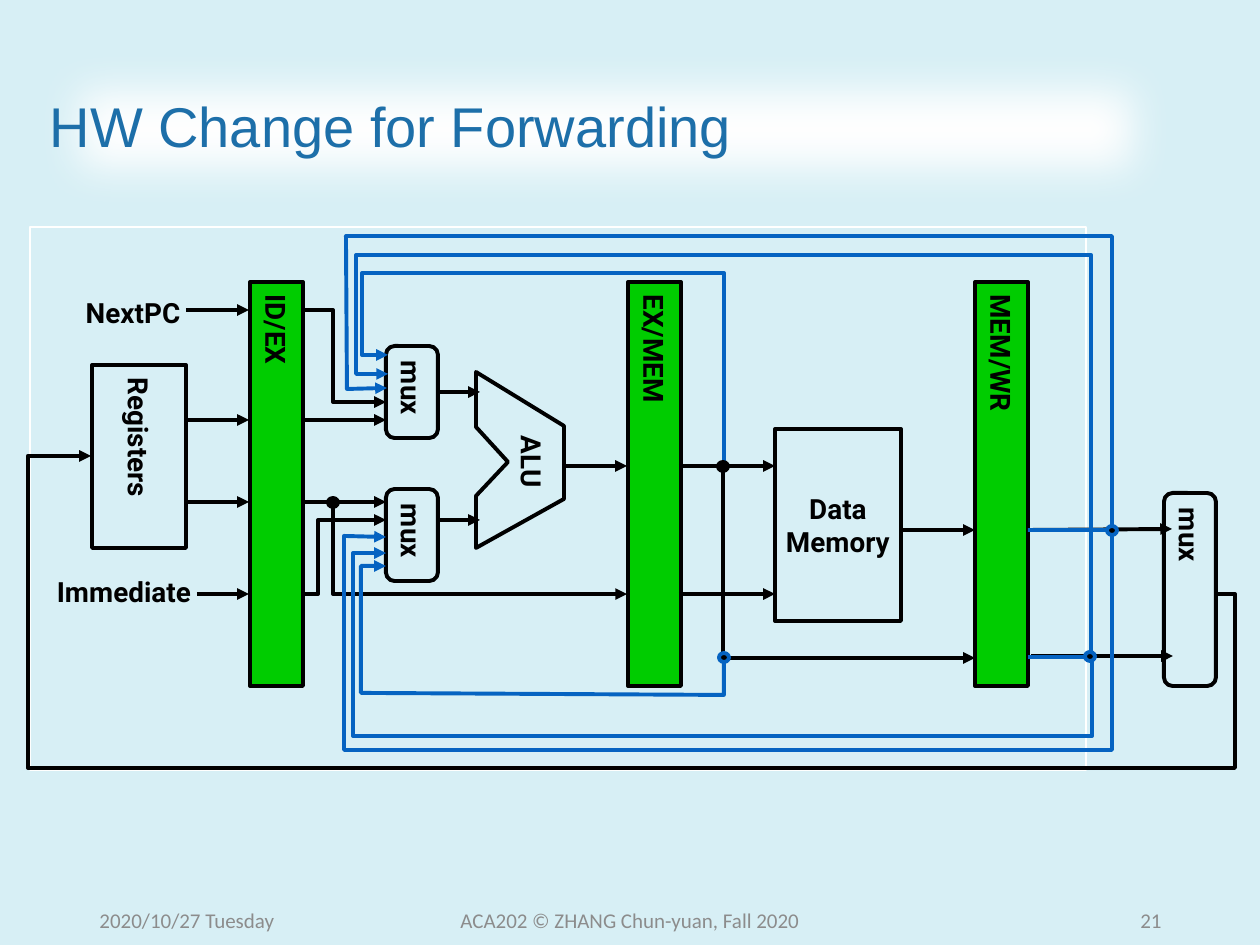
from lxml import etree
from pptx import Presentation
from pptx import util as u
from pptx.dml.color import RGBColor
from pptx.enum import shapes, text
from pptx.oxml.ns import qn

PX = u.Inches(1) / 126
COLOR = {
    "background": "D7EFF5", "title": "1D6FA9", "panel": "FFFFFF", "frame": "FFFFFE",
    "wire": "000000", "forward": "0563C1", "latch": "00CC00", "footer": "8C8C8C",
}
RECT = shapes.MSO_SHAPE.RECTANGLE
ROUND = shapes.MSO_SHAPE.ROUNDED_RECTANGLE
OVAL = shapes.MSO_SHAPE.OVAL
CENTER = text.PP_ALIGN.CENTER

deck = Presentation()
deck.slide_width, deck.slide_height = u.Inches(10), u.Inches(7.5)
slide = deck.slides.add_slide(deck.slide_layouts[5])
slide.background.fill.solid()
slide.background.fill.fore_color.rgb = RGBColor.from_string(COLOR["background"])
draw = slide.shapes


def write(shape, words, font="Roboto", size=15.9, color="wire", bold=True,
          align=CENTER, wrap=False, vertical=False):
    frame = shape.text_frame
    frame.text = words
    frame.word_wrap = wrap
    frame.vertical_anchor = text.MSO_ANCHOR.MIDDLE
    if vertical:
        frame._txBody.bodyPr.set("vert", "eaVert")
    for line in frame.paragraphs:
        line.alignment = align
        for run in line.runs:
            run.font.name, run.font.size, run.font.bold = font, u.Pt(size), bold
            run.font.color.rgb = RGBColor.from_string(COLOR[color])


def outline(shape, color="wire", fill=None, width=2.25, arrow=False):
    """Set line, fill and arrowhead, and drop the theme shadow."""
    shape.line.color.rgb = RGBColor.from_string(COLOR[color])
    shape.line.width = u.Pt(width)
    properties = shape._element.spPr
    if arrow:
        etree.SubElement(shape.line._get_or_add_ln(), qn("a:tailEnd"), type="triangle")
    etree.SubElement(properties, qn("a:effectLst"))
    if hasattr(shape, "fill"):
        if fill:
            shape.fill.solid()
            shape.fill.fore_color.rgb = RGBColor.from_string(COLOR[fill])
        else:
            shape.fill.background()


# Title on a soft-edged white band
title = draw.title
title.left, title.top, title.width, title.height = (
    round(v * PX) for v in (37, 50, 1136, 159))
title.fill.solid()
title.fill.fore_color.rgb = RGBColor.from_string(COLOR["panel"])
effects = etree.SubElement(title._element.spPr, qn("a:effectLst"))
etree.SubElement(effects, qn("a:softEdge"), rad=str(u.Pt(25)))
write(title, "HW Change for Forwarding", font="Arial", size=32, color="title",
      bold=False, align=text.PP_ALIGN.LEFT, wrap=True)
title.text_frame.paragraphs[0].line_spacing = 0.9

frame = draw.add_shape(RECT, *(round(v * PX) for v in (30, 227, 1056, 543)))
outline(frame, "frame", width=0)

# Pipeline latches, registers, memory and multiplexers
blocks = []
for kind, words, box, fill, vertical in [
    (RECT, "MEM/WR", (975, 282, 53, 404), "latch", True),
    (RECT, "ID/EX", (250, 282, 53, 404), "latch", True),
    (RECT, "EX/MEM", (628, 282, 53, 404), "latch", True),
    (RECT, "Data\nMemory", (775, 429, 126, 192), None, False),
    (RECT, "Registers", (92, 365, 94, 183), None, True),
    (ROUND, "mux", (386, 489, 52, 92), None, True),
    (ROUND, "mux", (1164, 493, 52, 193), None, True),
    (ROUND, "mux", (386, 346, 52, 92), None, True),
]:
    block = draw.add_shape(kind, *(round(v * PX) for v in box))
    outline(block, fill=fill)
    write(block, words, vertical=vertical)
    blocks.append(block)
upper_mux = blocks[-1]

# Straight wires: x from, y from, x to, y to
wires = []
for ends in [
    (438, 392, 480, 392), (438, 520, 480, 520),
    (186, 420, 249, 420), (186, 502, 249, 502),
    (301, 420, 386, 420), (301, 502, 386, 502),
    (186, 310, 249, 310), (197, 594, 249, 594),
    (679, 594, 775, 594), (564, 466, 627, 466),
    (679, 466, 775, 466), (901, 530, 975, 530),
    (1031, 656, 1173, 656), (1028, 530, 1172, 529),
]:
    wire = draw.add_connector(shapes.MSO_CONNECTOR.STRAIGHT,
                              *(round(v * PX) for v in ends))
    outline(wire, arrow=True)
    wires.append(wire)
wires[0].begin_connect(upper_mux, 3)

# ALU outline, then bent wires, then forwarding paths
alu = [(476, 372), (564, 426), (564, 499), (476, 548), (476, 496), (508, 462), (476, 427)]
bent = [
    [(301, 310), (333, 310), (333, 402), (386, 402)],
    [(301, 594), (318, 594), (318, 520), (386, 520)],
    [(333, 502), (333, 594), (627, 594)],
    [(723, 466), (723, 658), (975, 658)],
    [(1215, 594), (1235, 594), (1235, 768), (28, 768), (28, 456), (91, 456)],
]
forwarding = [
    [(724, 658), (724, 695), (361, 693), (361, 566), (386, 566)],
    [(1112, 529), (1112, 236), (346, 236), (347, 389), (387, 388)],
    [(1028, 657), (1092, 657), (1092, 736), (353, 736), (353, 553), (386, 553)],
    [(1028, 530), (1112, 530), (1112, 750), (344, 750), (344, 536), (386, 537)],
    [(724, 465), (724, 273), (362, 273), (362, 355), (388, 355)],
    [(1091, 658), (1091, 255), (356, 255), (356, 374), (388, 374)],
]
for color, closed, routes in [("wire", True, [alu]), ("wire", False, bent),
                              ("forward", False, forwarding)]:
    for start, *rest in routes:
        builder = draw.build_freeform(*start, scale=PX)
        builder.add_line_segments(rest, close=closed)
        outline(builder.convert_to_shape(), color, arrow=not closed)

# Junction dots
for x, y, color in [(723, 466, "wire"), (333, 502, "wire"), (724, 657, "forward"),
                    (1090, 656, "forward"), (1112, 530, "forward")]:
    dot = draw.add_shape(OVAL, *(round(v * PX) for v in (x - 5, y - 4, 10, 9)))
    outline(dot, color, fill="wire")

# Free labels and footer
for words, box, turn in [("ALU", (491, 438, 82, 47), 90),
                         ("NextPC", (68, 289, 130, 47), 0),
                         ("Immediate", (34, 568, 180, 47), 0)]:
    label = draw.add_textbox(*(round(v * PX) for v in box))
    label.rotation = turn
    write(label, words)

for words, left, width, align in [
    ("2020/10/27 Tuesday", 87, 284, text.PP_ALIGN.LEFT),
    ("ACA202 © ZHANG Chun-yuan, Fall 2020", 417, 426, CENTER),
    ("21", 890, 284, text.PP_ALIGN.RIGHT),
]:
    footer = draw.add_textbox(*(round(v * PX) for v in (left, 895, width, 50)))
    write(footer, words, font="Calibri", size=12, color="footer", bold=False,
          align=align, wrap=True)

deck.save("out.pptx")
